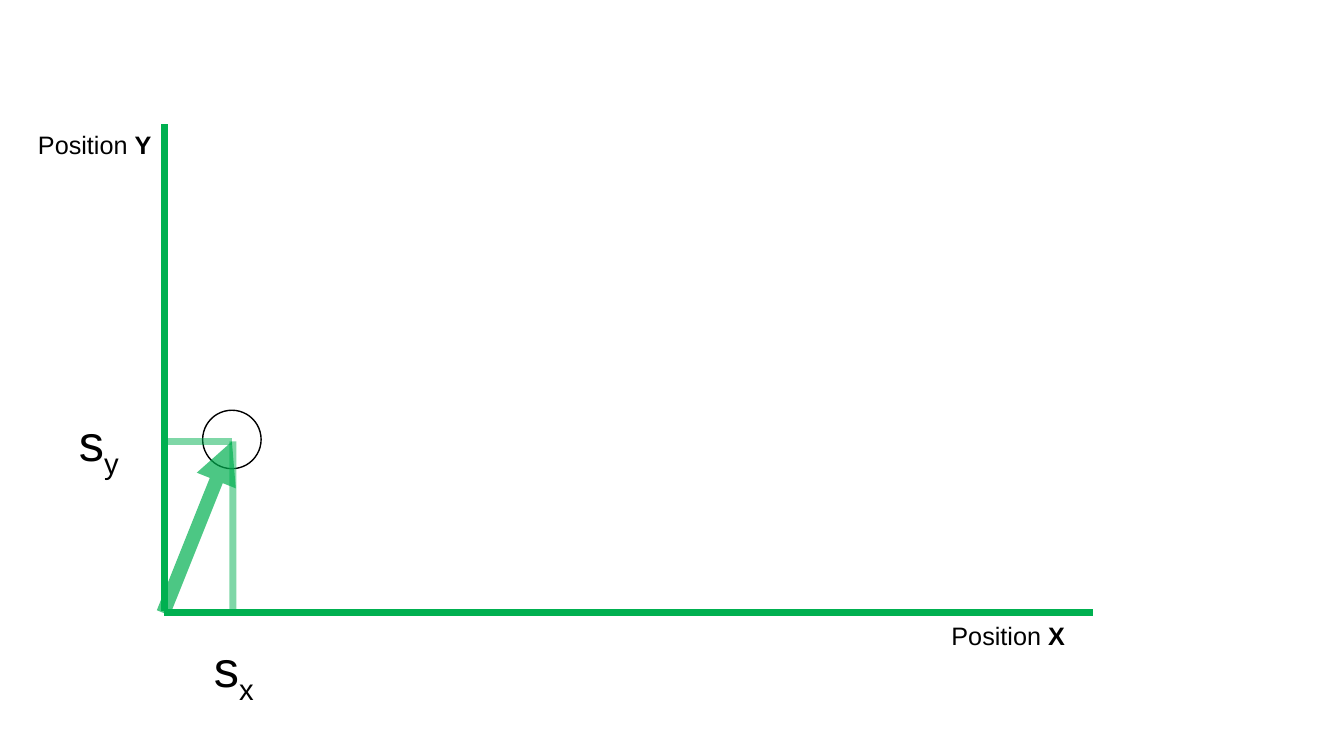
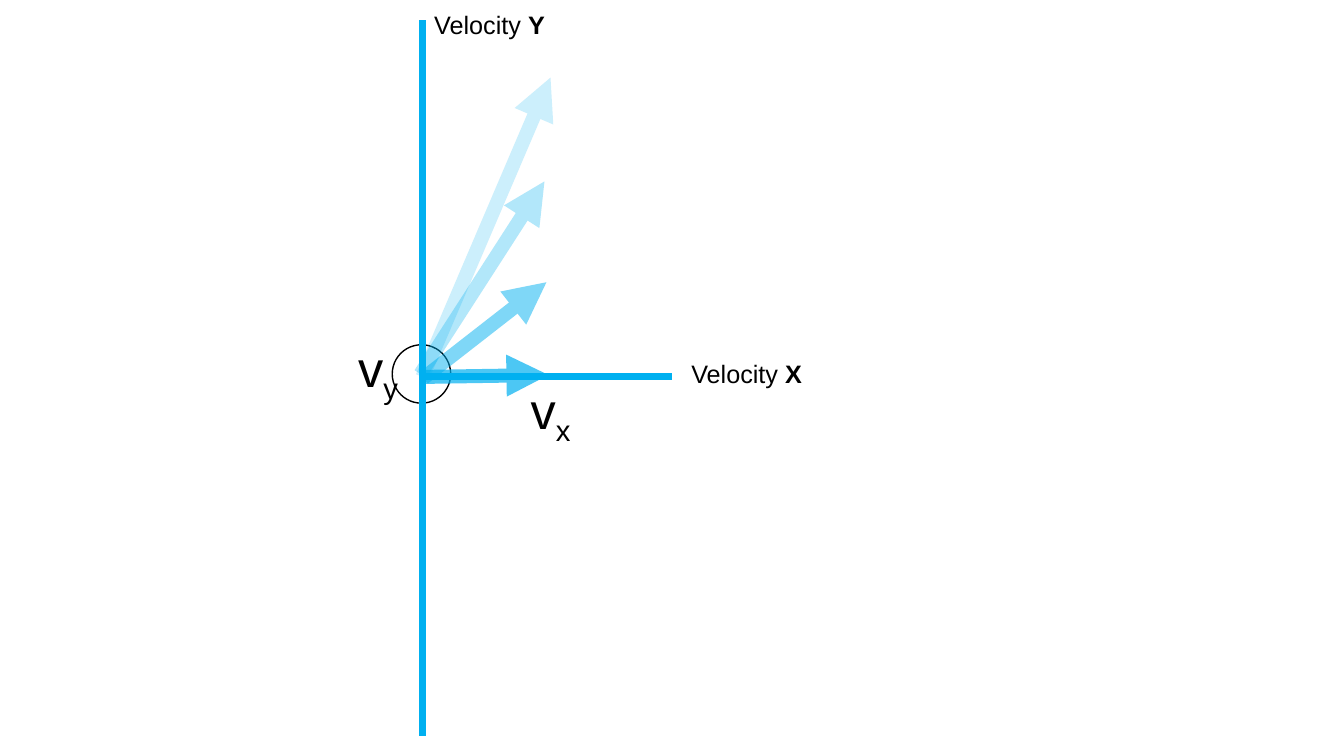
"""Build two vector diagrams: position components and velocity components."""
from lxml.etree import SubElement
from pptx import Presentation
from pptx.dml.color import RGBColor
from pptx.enum.shapes import MSO_CONNECTOR, MSO_SHAPE
from pptx.enum.text import MSO_ANCHOR, MSO_AUTO_SIZE, PP_ALIGN
from pptx.oxml.ns import qn
from pptx.util import Inches, Pt

BLACK = RGBColor(0x00, 0x00, 0x00)
GREEN = RGBColor(0x00, 0xB0, 0x50)
BLUE = RGBColor(0x00, 0xB0, 0xF0)
FONT = "Arial"
BALL_SIZE = 0.58
AXIS_WIDTH, ARROW_WIDTH = 5, 10
SYMBOL_WIDTH = 0.62


def add_line(page, ends, color, width, opacity=100, arrow=False):
    line = page.shapes.add_connector(MSO_CONNECTOR.STRAIGHT, *map(Inches, ends))
    line.line.color.rgb = color
    line.line.width = Pt(width)
    properties = line._element.spPr
    outline = properties.find(qn("a:ln"))
    if opacity < 100:
        tint = outline.find(qn("a:solidFill"))[0]
        SubElement(tint, qn("a:alpha")).set("val", str(opacity * 1000))
    if arrow:
        SubElement(outline, qn("a:tailEnd")).set("type", "triangle")
    SubElement(properties, qn("a:effectLst"))


def add_label(page, left, top, width, stem, axis, symbol=False):
    height = 0.71 if symbol else 0.4
    box = page.shapes.add_textbox(*map(Inches, (left, top, width, height)))
    frame = box.text_frame
    frame.word_wrap = False
    frame.auto_size = MSO_AUTO_SIZE.SHAPE_TO_FIT_TEXT
    frame.vertical_anchor = MSO_ANCHOR.TOP
    para = frame.paragraphs[0]
    para.alignment = PP_ALIGN.CENTER
    para.font.name = FONT
    para.font.size = Pt(36 if symbol else 18)
    para.font.color.rgb = BLACK
    para.add_run().text = stem
    span = para.add_run()
    span.text = axis
    if symbol:
        span._r.get_or_add_rPr().set("baseline", "-25000")
    else:
        span.font.bold = True


diagrams = [
    {
        "color": GREEN,
        "ball": (2.01, 4.07),
        "axes": [(1.63, 6.06, 1.63, 1.23), (1.63, 6.08, 10.84, 6.08)],
        "arrows": [((1.62, 6.08, 2.3, 4.38), 70)],
        "guides": [(2.31, 6.09, 2.31, 4.38), (1.62, 4.38, 2.3, 4.38)],
        "name": "Position ",
        "name_width": 1.34,
        "names": [(0.27, 1.23, "Y"), (9.33, 6.1, "X")],
        "symbol": "s",
        "symbols": [(0.67, 4.03, "y"), (2.01, 6.27, "x")],
    },
    {
        "color": BLUE,
        "ball": (3.89, 3.42),
        "axes": [(4.19, 7.3, 4.19, 0.2), (4.19, 3.74, 6.67, 3.74)],
        "arrows": [
            ((4.19, 3.74, 5.46, 0.77), 20),
            ((4.17, 3.71, 5.4, 1.8), 30),
            ((4.2, 3.75, 5.42, 2.8), 50),
            ((4.17, 3.74, 5.44, 3.72), 70),
        ],
        "guides": [],
        "name": "Velocity ",
        "name_width": 1.31,
        "names": [(4.2, 0.04, "Y"), (6.75, 3.51, "X")],
        "symbol": "v",
        "symbols": [(3.44, 3.29, "y"), (5.15, 3.71, "x")],
    },
]

deck = Presentation()
deck.slide_width = Inches(13.33)
deck.slide_height = Inches(7.5)

for diagram in diagrams:
    page = deck.slides.add_slide(deck.slide_layouts[6])
    color = diagram["color"]

    ball = page.shapes.add_shape(
        MSO_SHAPE.OVAL, *map(Inches, (*diagram["ball"], BALL_SIZE, BALL_SIZE))
    )
    ball.shadow.inherit = False
    ball.fill.background()
    ball.line.color.rgb = BLACK
    ball.line.width = Pt(1)

    for ends in diagram["axes"]:
        add_line(page, ends, color, AXIS_WIDTH)
    for ends, opacity in diagram["arrows"]:
        add_line(page, ends, color, ARROW_WIDTH, opacity, arrow=True)
    for ends in diagram["guides"]:
        add_line(page, ends, color, AXIS_WIDTH, opacity=50)

    for left, top, axis in diagram["names"]:
        add_label(page, left, top, diagram["name_width"], diagram["name"], axis)
    for left, top, axis in diagram["symbols"]:
        add_label(page, left, top, SYMBOL_WIDTH, diagram["symbol"], axis, symbol=True)

deck.save("out.pptx")
